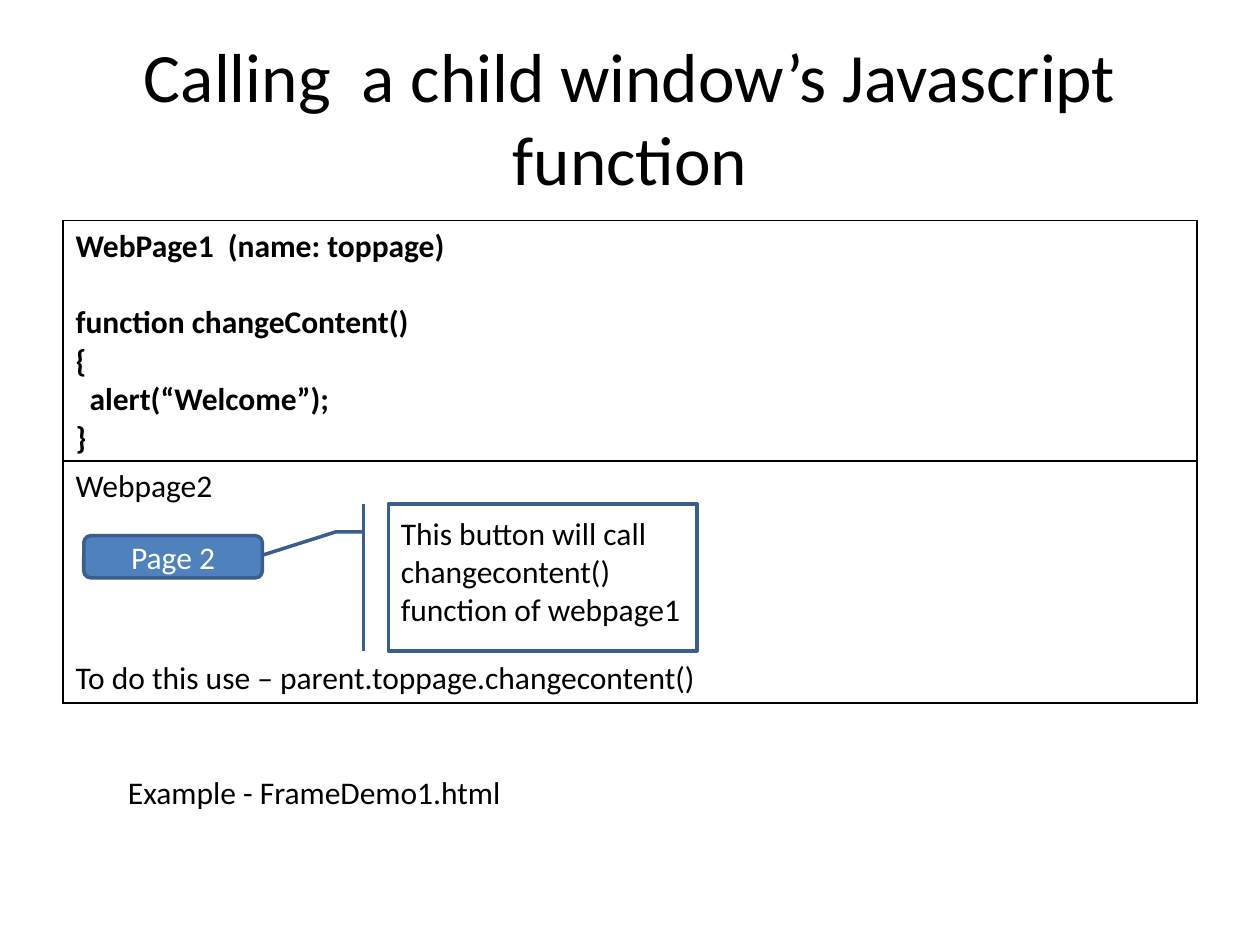
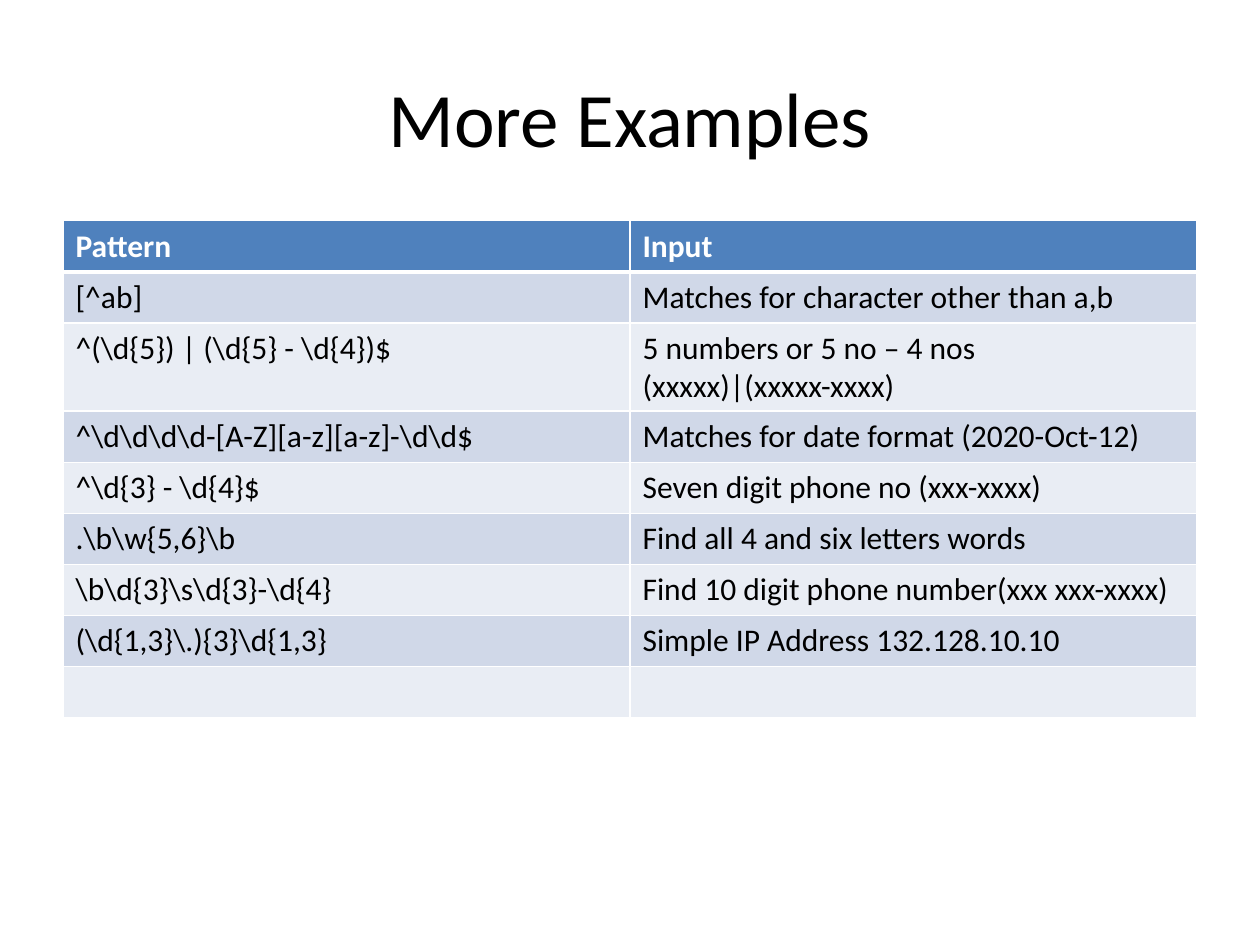
import pptx
import pptx.util
import pptx.dml.color
import pptx.enum.shapes
import pptx.enum.text
import pptx.oxml.ns
import lxml.etree

Cm, Pt = pptx.util.Cm, pptx.util.Pt
SHAPE = pptx.enum.shapes.MSO_SHAPE
ALIGN = pptx.enum.text.PP_ALIGN
ANCHOR = pptx.enum.text.MSO_ANCHOR

FONT, BODY = "Calibri", 18
BLACK, WHITE, BLUE, OUTLINE = "000000", "FFFFFF", "4F81BD", "3A5F8C"
BANDS = ["D0D8E8", "E9EDF4"]
LEFT, WIDTH, TABLE_TOP = 1.27, 22.86, 4.45
LINE = 22

CALL_TITLE = ("Calling  a child window\u2019s Javascript function", 39.6)
PAGES = [
    [("WebPage1  (name: toppage)", 0, 0), ("function changeContent()", LINE, 0),
     ("{", 0, 0), ("alert(\u201cWelcome\u201d);", 0, 8), ("}", 0, 0)],
    [("Webpage2", 0, 0),
     ("To do this use \u2013 parent.toppage.changecontent()", 4 * LINE, 0)],
]
BUTTON = "Page 2"
CALLOUT = "This button will call changecontent() function of webpage1"
EXAMPLE = "Example - FrameDemo1.html"

EXAMPLES_TITLE = ("More Examples", 44)
EXAMPLES = [
    ("Pattern", "Input"),
    ("[^ab]", "Matches for character other than a,b"),
    (r"^(\d{5}) | (\d{5} - \d{4})$",
     "5 numbers or 5 no \u2013 4 nos\n(xxxxx)|(xxxxx-xxxx)"),
    (r"^\d\d\d\d-[A-Z][a-z][a-z]-\d\d$", "Matches for date format (2020-Oct-12)"),
    (r"^\d{3} - \d{4}$", "Seven digit phone no (xxx-xxxx)"),
    (r".\b\w{5,6}\b", "Find all 4 and six letters words"),
    (r"\b\d{3}\s\d{3}-\d{4}", "Find 10 digit phone number(xxx xxx-xxxx)"),
    (r"(\d{1,3}\.){3}\d{1,3}", "Simple IP Address 132.128.10.10"),
    ("", ""),
]


def rgb(value):
    return pptx.dml.color.RGBColor.from_string(value)


def write(tf, paragraphs, size=BODY, color=BLACK, bold=False, align=ALIGN.LEFT):
    for i, (text, before, indent) in enumerate(paragraphs):
        p = tf.paragraphs[0] if i == 0 else tf.add_paragraph()
        p.alignment = align
        p.font.size = Pt(size)
        if before:
            p.space_before = Pt(before)
        if indent:
            p._p.get_or_add_pPr().set("marL", str(Pt(indent)))
        if text:
            r = p.add_run()
            r.text = text
            r.font.name, r.font.size, r.font.bold = FONT, Pt(size), bold
            r.font.color.rgb = rgb(color)


def plain(text):
    return [(line, 0, 0) for line in text.split("\n")]


def add_text(s, text, x, y, w, h, wrap=True, anchor=ANCHOR.TOP, **style):
    tf = s.shapes.add_textbox(Cm(x), Cm(y), Cm(w), Cm(h)).text_frame
    tf.word_wrap, tf.vertical_anchor = wrap, anchor
    write(tf, plain(text), **style)


def add_slide(prs, title):
    s = prs.slides.add_slide(prs.slide_layouts[6])
    text, size = title
    add_text(s, text, LEFT, 0.76, WIDTH, 3.18, anchor=ANCHOR.MIDDLE,
             size=size, align=ALIGN.CENTER)
    return s


def add_table(s, rows, cols, row_height):
    table = s.shapes.add_table(rows, cols, Cm(LEFT), Cm(TABLE_TOP),
                               Cm(WIDTH), Cm(rows * row_height)).table
    table.first_row = table.horz_banding = False
    return table


def set_borders(cell, color, bottom=1, top=1):
    tcPr = cell._tc.get_or_add_tcPr()
    qn = pptx.oxml.ns.qn
    sides = [("L", 1), ("R", 1), ("T", top), ("B", bottom)]
    for i, (side, width) in enumerate(sides):
        ln = lxml.etree.Element(qn("a:ln" + side), w=str(Pt(width)))
        fill = lxml.etree.SubElement(ln, qn("a:solidFill"))
        lxml.etree.SubElement(fill, qn("a:srgbClr"), val=color)
        tcPr.insert(i, ln)


def add_shape(s, kind, x, y, w, h, fill=None):
    sp = s.shapes.add_shape(kind, Cm(x), Cm(y), Cm(w), Cm(h))
    sp.shadow.inherit = False
    if fill:
        sp.fill.solid()
        sp.fill.fore_color.rgb = rgb(fill)
    else:
        sp.fill.background()
    sp.line.color.rgb = rgb(OUTLINE)
    sp.line.width = Pt(2)
    return sp


prs = pptx.Presentation()
prs.slide_width, prs.slide_height = Cm(25.4), Cm(19.05)

s = add_slide(prs, CALL_TITLE)
table = add_table(s, len(PAGES), 1, 4.65)
for i, paragraphs in enumerate(PAGES):
    cell = table.cell(i, 0)
    cell.fill.background()
    write(cell.text_frame, paragraphs, bold=i == 0)
    set_borders(cell, BLACK)

button = add_shape(s, SHAPE.ROUNDED_RECTANGLE, 1.69, 10.8, 3.6, 0.85, BLUE)
button.text_frame.vertical_anchor = ANCHOR.MIDDLE
write(button.text_frame, plain(BUTTON), color=WHITE, align=ALIGN.CENTER)

callout = add_shape(s, SHAPE.LINE_CALLOUT_2_BORDER_AND_ACCENT_BAR,
                    7.83, 10.16, 6.22, 2.96)
for i, value in enumerate([0.19, -0.08, 0.19, -0.17, 0.35, -0.41]):
    callout.adjustments[i] = value
add_text(s, CALLOUT, 7.83, 10.24, 6.55, 2.56)
add_text(s, EXAMPLE, 2.33, 15.45, 8.1, 1.03, wrap=False)

s = add_slide(prs, EXAMPLES_TITLE)
table = add_table(s, len(EXAMPLES), 2, 1.03)
for i, row in enumerate(EXAMPLES):
    header = i == 0
    for j, text in enumerate(row):
        cell = table.cell(i, j)
        cell.fill.solid()
        cell.fill.fore_color.rgb = rgb(BLUE if header else BANDS[(i - 1) % 2])
        write(cell.text_frame, plain(text), bold=header,
              color=WHITE if header else BLACK)
        set_borders(cell, WHITE, bottom=3 if header else 1, top=3 if i == 1 else 1)

prs.save("out.pptx")
